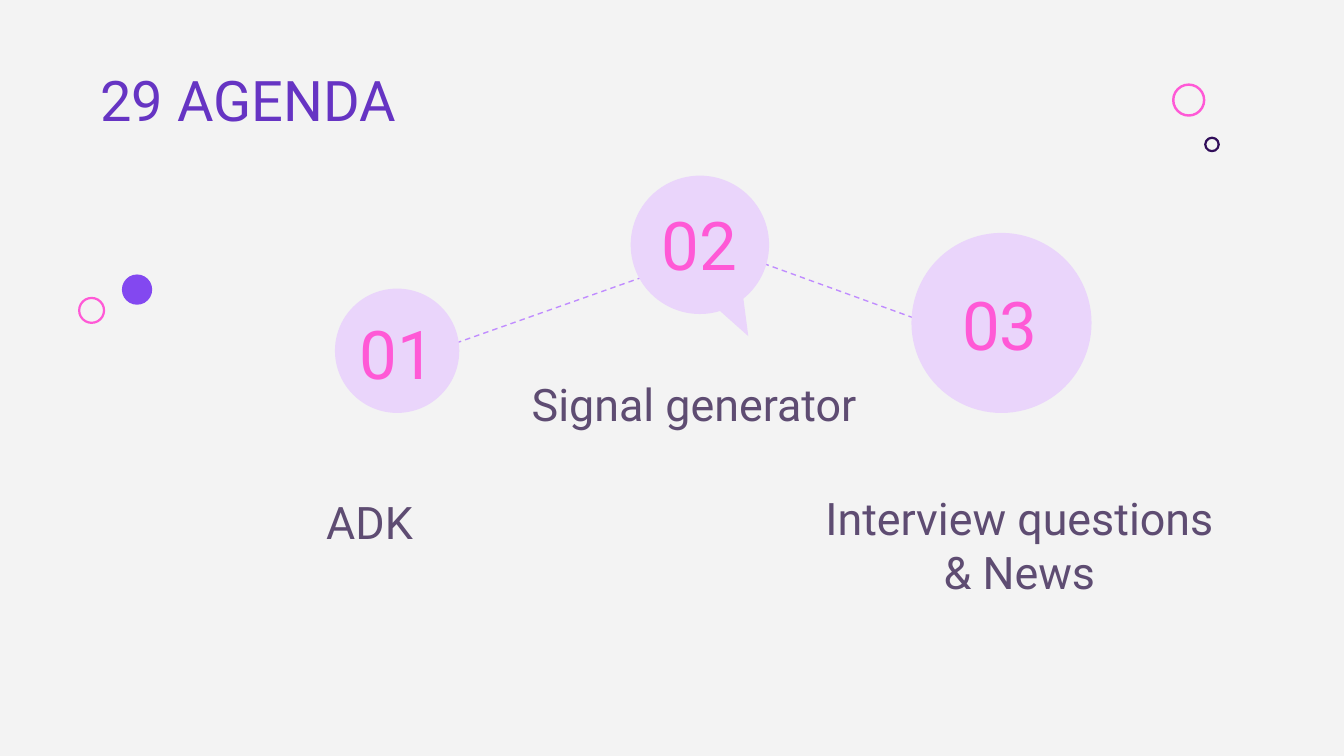
from dataclasses import dataclass
from typing import Optional

import pptx
import pptx.dml.color
import pptx.enum.dml
import pptx.enum.shapes
import pptx.enum.text
import pptx.oxml
import pptx.oxml.ns
import pptx.util

SHAPE = pptx.enum.shapes.MSO_SHAPE
ALIGN = pptx.enum.text.PP_ALIGN
ANCHOR = pptx.enum.text.MSO_ANCHOR

# Square grid: 100 columns across the 16:9 slide, rows of the same size
SLIDE_WIDTH = pptx.util.Inches(10)
SLIDE_HEIGHT = pptx.util.Emu(SLIDE_WIDTH * 9 // 16)
CELL = SLIDE_WIDTH / 100


@dataclass(frozen=True)
class Theme:
    font: str = "Roboto"
    background: str = "F3F3F3"
    title: str = "6634C3"
    topic: str = "5E4C72"
    pink: str = "FF59D6"
    lilac: str = "EAD5FB"
    violet: str = "8348F0"
    dark: str = "300D59"
    link: str = "C08CFF"
    title_size: float = 30
    number_size: float = 36
    topic_size: float = 24
    link_width: float = 0.75


THEME = Theme()


@dataclass(frozen=True)
class Box:
    column: float
    row: float
    columns: float
    rows: float


@dataclass(frozen=True)
class Circle:
    column: float  # centre
    row: float
    diameter: float
    color: str
    ring_width: Optional[float] = None  # points; None means filled
    tail: Optional[tuple[float, float]] = None  # tip, as shares of the diameter


@dataclass(frozen=True)
class AgendaItem:
    number: str
    topic: str
    bubble: Circle
    number_box: Box
    topic_box: Box


@dataclass(frozen=True)
class Link:
    start: tuple[float, float]
    end: tuple[float, float]


DECORATIONS = [
    Circle(88.45, 7.45, 2.3, THEME.pink, 1.3),
    Circle(90.18, 10.75, 1, THEME.dark, 1.2),
    Circle(10.2, 21.55, 2.25, THEME.violet),
    Circle(6.82, 23.1, 1.85, THEME.pink, 1.2),
]

LINKS = [
    Link((52.1, 17.9), (73.9, 25.8)),
    Link((29.2, 27.2), (52.4, 19)),
]

AGENDA = [
    AgendaItem("01", "ADK", Circle(29.55, 26.1, 9.25, THEME.lilac),
               Box(25.6, 23.1, 7.9, 6.3), Box(16.15, 32.5, 22.7, 9.3)),
    AgendaItem("02", "Signal generator",
               Circle(52.08, 18.22, 10.3, THEME.lilac, tail=(0.35, 0.66)),
               Box(44.8, 15, 14.5, 6.3), Box(36.5, 25.95, 30.3, 7.1)),
    AgendaItem("03", "Interview questions & News",
               Circle(74.52, 24.03, 13.4, THEME.lilac),
               Box(67.8, 20.95, 13.2, 6.3), Box(60.35, 35.95, 31, 9.6)),
]


def cells(count: float) -> pptx.util.Emu:
    return pptx.util.Emu(round(count * CELL))


def rgb(color: str) -> pptx.dml.color.RGBColor:
    return pptx.dml.color.RGBColor.from_string(color)


def draw_circle(slide, circle: Circle) -> None:
    radius = circle.diameter / 2
    kind = SHAPE.OVAL_CALLOUT if circle.tail else SHAPE.OVAL
    shape = slide.shapes.add_shape(
        kind, cells(circle.column - radius), cells(circle.row - radius),
        cells(circle.diameter), cells(circle.diameter))
    shape.shadow.inherit = False
    if circle.tail:
        shape.adjustments[0], shape.adjustments[1] = circle.tail
    if circle.ring_width is None:
        shape.fill.solid()
        shape.fill.fore_color.rgb = rgb(circle.color)
        shape.line.fill.background()
    else:
        shape.fill.background()
        shape.line.color.rgb = rgb(circle.color)
        shape.line.width = pptx.util.Pt(circle.ring_width)


def draw_link(slide, link: Link) -> None:
    connector = slide.shapes.add_connector(
        pptx.enum.shapes.MSO_CONNECTOR.STRAIGHT,
        *(cells(value) for value in link.start + link.end))
    connector.line.color.rgb = rgb(THEME.link)
    connector.line.width = pptx.util.Pt(THEME.link_width)
    connector.line.dash_style = pptx.enum.dml.MSO_LINE.DASH
    properties = connector.element.find(pptx.oxml.ns.qn("p:spPr"))
    properties.append(pptx.oxml.parse_xml(
        f"<a:effectLst {pptx.oxml.ns.nsdecls('a')}/>"))


def draw_text(slide, text: str, box: Box, size: float, color: str,
              anchor: ANCHOR, align: ALIGN = ALIGN.CENTER) -> None:
    shape = slide.shapes.add_textbox(
        cells(box.column), cells(box.row), cells(box.columns), cells(box.rows))
    frame = shape.text_frame
    frame.word_wrap = True
    frame.vertical_anchor = anchor
    frame.margin_left = frame.margin_right = cells(1)
    frame.margin_top = frame.margin_bottom = cells(1)
    paragraph = frame.paragraphs[0]
    paragraph.alignment = align
    run = paragraph.add_run()
    run.text = text
    run.font.name = THEME.font
    run.font.size = pptx.util.Pt(size)
    run.font.color.rgb = rgb(color)


def main() -> None:
    presentation = pptx.Presentation()
    presentation.slide_width = SLIDE_WIDTH
    presentation.slide_height = SLIDE_HEIGHT
    slide = presentation.slides.add_slide(presentation.slide_layouts[6])
    slide.background.fill.solid()
    slide.background.fill.fore_color.rgb = rgb(THEME.background)

    # Decoration and the dashed links behind the bubbles
    for circle in DECORATIONS:
        draw_circle(slide, circle)
    for link in LINKS:
        draw_link(slide, link)

    # Heading
    draw_text(slide, "29 AGENDA", Box(6.5, 3.9, 73.6, 7.1), THEME.title_size,
              THEME.title, ANCHOR.TOP, ALIGN.LEFT)

    # Numbered bubbles with their topics
    for item in AGENDA:
        draw_circle(slide, item.bubble)
        draw_text(slide, item.number, item.number_box, THEME.number_size,
                  THEME.pink, ANCHOR.MIDDLE)
        draw_text(slide, item.topic, item.topic_box, THEME.topic_size,
                  THEME.topic, ANCHOR.BOTTOM)

    presentation.save("out.pptx")


if __name__ == "__main__":
    main()
